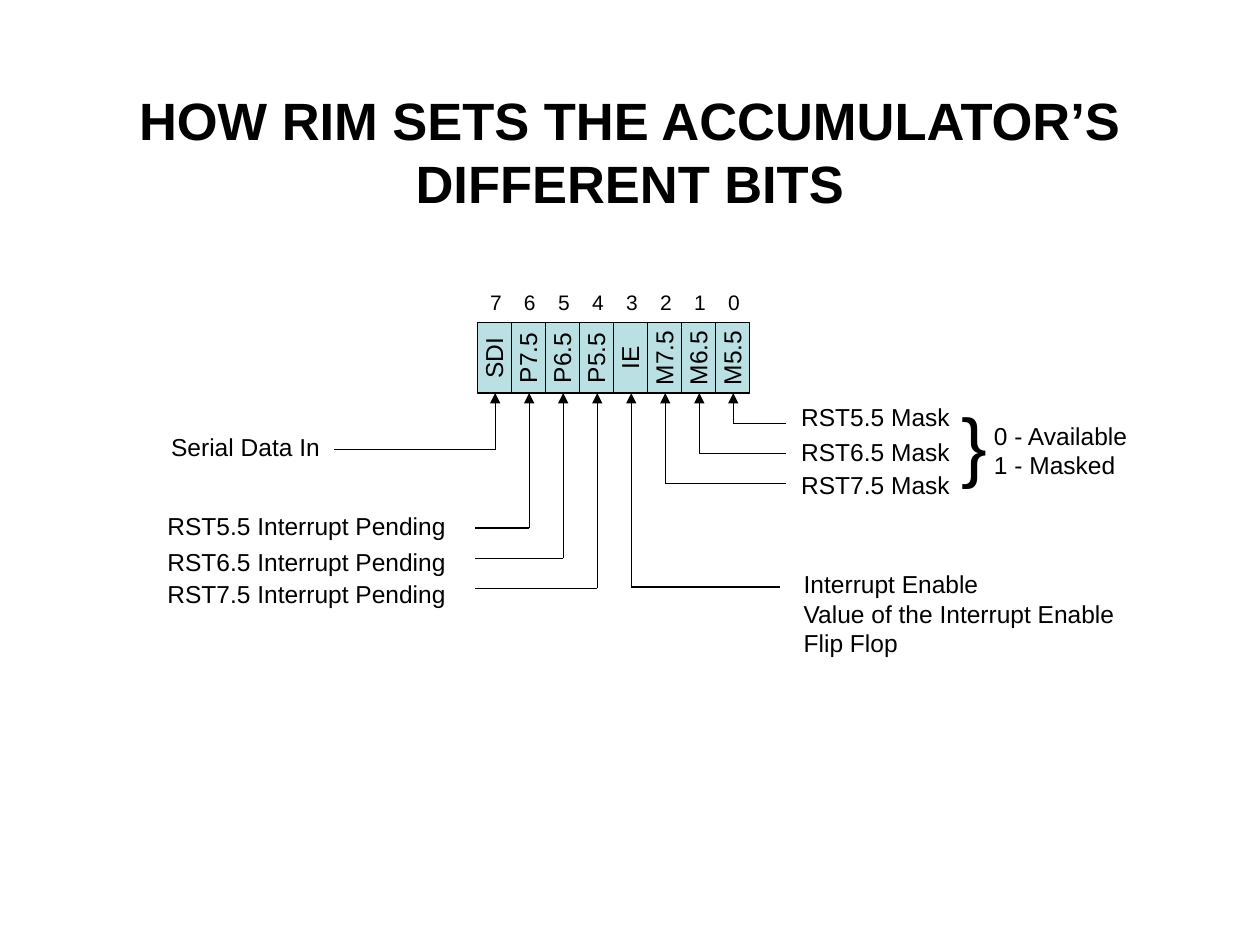
from lxml import etree
from pptx import Presentation
from pptx.dml.color import RGBColor
from pptx.enum.shapes import MSO_CONNECTOR, MSO_SHAPE
from pptx.enum.text import MSO_ANCHOR, MSO_AUTO_SIZE, PP_ALIGN
from pptx.oxml.ns import qn
from pptx.util import Pt

SCALE = 9144
STRAIGHT = MSO_CONNECTOR.STRAIGHT
RECTANGLE = MSO_SHAPE.RECTANGLE
LEFT, CENTER = PP_ALIGN.LEFT, PP_ALIGN.CENTER
BOTTOM = MSO_ANCHOR.BOTTOM
NO_FIT, GROW = MSO_AUTO_SIZE.NONE, MSO_AUTO_SIZE.SHAPE_TO_FIT_TEXT

FONT = "Arial"
BLACK, CELL_BLUE = "000000", "BBE0E3"
BIT_WIDTH = 27
BIT_NAMES = ["SDI", "P7.5", "P6.5", "P5.5", "IE", "M7.5", "M6.5", "M5.5"]
INTERRUPTS = ["RST5.5", "RST6.5", "RST7.5"]
REGISTER = (379, 256, BIT_WIDTH * len(BIT_NAMES), 56)
ROW_OFFSETS = [0, 28, 54]
LEADER_GAP = 24


def px(length):
    """Turn whole pixels into EMU."""
    return length * SCALE


def color(hex_text):
    """Turn a hex string into a colour."""
    return RGBColor.from_string(hex_text)


def style(para, size, align=LEFT, bold=False):
    """Set the font and alignment of a paragraph."""
    para.alignment = align
    para.font.name = FONT
    para.font.size = Pt(size)
    para.font.bold = bold
    para.font.color.rgb = color(BLACK)


def add_label(shapes, box, text, size=14, align=LEFT):
    """Add an unwrapped text box with one paragraph for each line."""
    label = shapes.add_textbox(*map(px, box))
    frame = label.text_frame
    frame.word_wrap = False
    frame.auto_size = GROW
    frame.text = text
    for para in frame.paragraphs:
        style(para, size, align)
    return label


def add_line(shapes, start, end, arrow=False):
    """Add a thin line, with an optional arrowhead at its start."""
    line = shapes.add_connector(STRAIGHT, *map(px, (*start, *end)))
    line.line.color.rgb = color(BLACK)
    line.line.width = Pt(0.75)
    if arrow:
        etree.SubElement(line.line._get_or_add_ln(), qn("a:headEnd"), type="triangle")
    etree.SubElement(line._element.spPr, qn("a:effectLst"))


def add_leader(page, bit, level, end):
    """Lead from below a register bit down to a level and across to an end."""
    left, top, _, height = REGISTER
    center = left + BIT_WIDTH * bit + 14
    add_line(page.shapes, (center, top + height), (center, level), arrow=True)
    add_line(page.shapes, (center, level), (end, level))


def add_title(page, box, text):
    """Place and format the slide title."""
    title = page.shapes.title
    title.left, title.top, title.width, title.height = map(px, box)
    frame = title.text_frame
    frame.text = text
    frame.word_wrap = True
    frame.auto_size = NO_FIT
    frame.vertical_anchor = BOTTOM
    style(frame.paragraphs[0], 30, CENTER, bold=True)


def add_register(page, box):
    """Draw the eight named and numbered accumulator bits."""
    left, top, _, height = box
    shapes = page.shapes.add_group_shape().shapes
    body = shapes.add_shape(RECTANGLE, *map(px, box))
    body.shadow.inherit = False
    body.fill.solid()
    body.fill.fore_color.rgb = color(CELL_BLUE)
    body.line.color.rgb = color(BLACK)
    body.line.width = Pt(0.75)
    for bit, name in enumerate(BIT_NAMES):
        edge = left + BIT_WIDTH * bit
        name_box = (edge - 22, top + 11, 70, 34)
        add_label(shapes, name_box, name, align=CENTER).rotation = 270
        add_label(shapes, (edge, top - 31, 29, 30), str(7 - bit), 12, CENTER)
        if bit:
            add_line(shapes, (edge, top + height), (edge, top))


def add_interrupt_rows(page, box, suffix, bits, first_level, end):
    """List the three interrupts and lead each from its bit."""
    left, top, width, height = box
    for row, (name, offset, bit) in enumerate(zip(INTERRUPTS, ROW_OFFSETS, bits)):
        add_label(page.shapes, (left, top + offset, width, height), f"{name} {suffix}")
        add_leader(page, bit, first_level + LEADER_GAP * row, end)


def add_mask_key(page, box):
    """Brace the mask rows and explain their two values."""
    left, top, width, height = box
    add_label(page.shapes, (left, top, 40, height), "}", 44)
    add_label(page.shapes, (left + 26, top + 19, width - 26, 57), "0 - Available\n1 - Masked")


def add_note(page, box, text, bit, level, end):
    """Add a note and lead to it from its bit."""
    add_label(page.shapes, box, text)
    add_leader(page, bit, level, end)


def main():
    """Build and save the slide."""
    deck = Presentation()
    deck.slide_width, deck.slide_height = px(1000), px(750)
    page = deck.slides.add_slide(deck.slide_layouts[5])
    add_title(page, (50, 30, 900, 145), "HOW RIM SETS THE ACCUMULATOR’S DIFFERENT BITS")
    add_register(page, REGISTER)
    add_interrupt_rows(page, (626, 314, 138, 34), "Mask", (7, 6, 5), 336, 624)
    add_mask_key(page, (753, 310, 153, 84))
    enable_text = "Interrupt Enable\nValue of the Interrupt Enable\nFlip Flop"
    add_note(page, (628, 447, 268, 80), enable_text, 4, 466, 619)
    add_note(page, (126, 338, 138, 34), "Serial Data In", 0, 357, 265)
    add_interrupt_rows(page, (123, 401, 241, 34), "Interrupt Pending", (1, 2, 3), 419, 377)
    deck.save("out.pptx")


if __name__ == "__main__":
    main()
